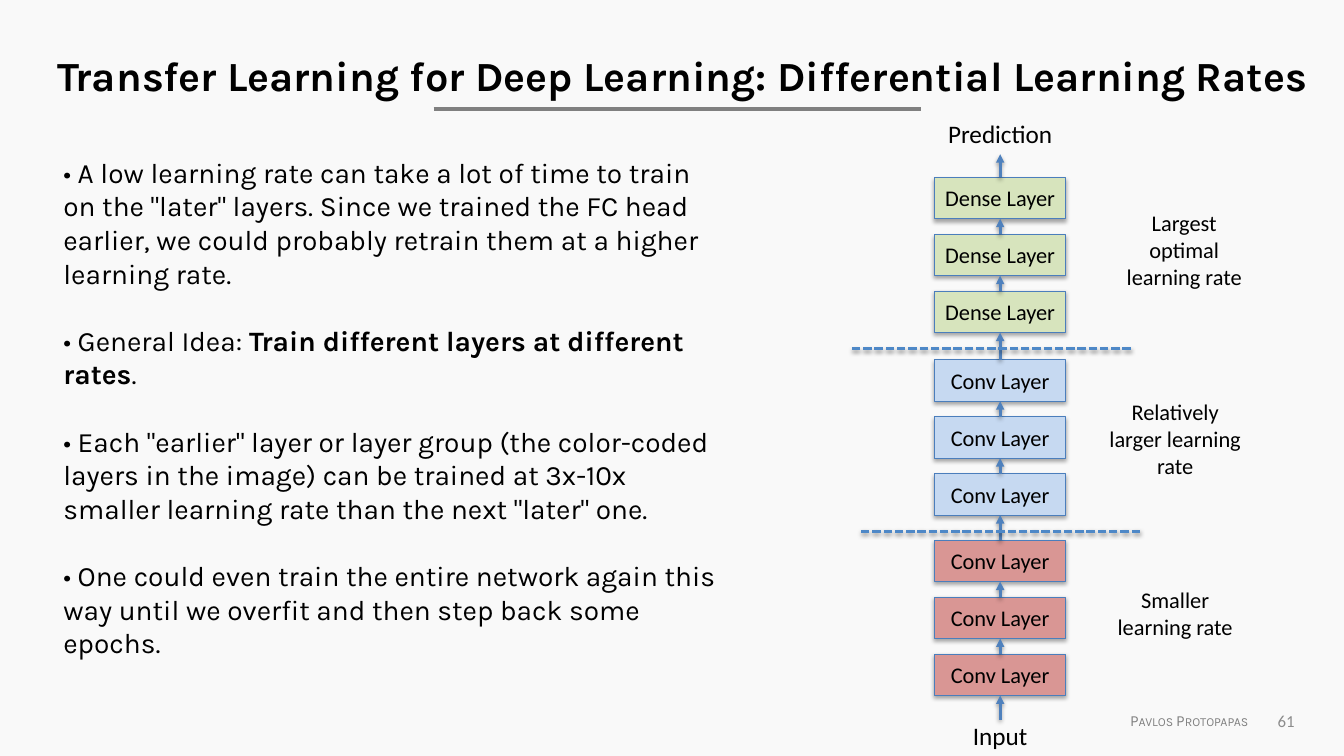
"""Build the differential learning rates slide."""
import pptx
import pptx.util
import pptx.oxml
import pptx.oxml.ns
from pptx.dml.color import RGBColor
from pptx.enum.dml import MSO_LINE
from pptx.enum.shapes import MSO_CONNECTOR, MSO_SHAPE
from pptx.enum.text import MSO_ANCHOR, MSO_AUTO_SIZE, PP_ALIGN
from pptx.util import Inches, Pt

BLACK = RGBColor(0x00, 0x00, 0x00)
GRAY = RGBColor(0x80, 0x80, 0x80)
NUMBER_GRAY = RGBColor(0x8C, 0x8C, 0x8C)
BACKGROUND = RGBColor(0xF9, 0xF9, 0xF9)
ARROW = RGBColor(0x4F, 0x81, 0xBD)
BORDER = RGBColor(0x4B, 0x7E, 0xBC)
DIVIDER = RGBColor(0x4E, 0x88, 0xC7)
GREEN = RGBColor(0xD7, 0xE4, 0xBD)
BLUE = RGBColor(0xC6, 0xD9, 0xF1)
RED = RGBColor(0xD9, 0x96, 0x94)

TITLE = "Transfer Learning for Deep Learning: Differential Learning Rates"
BULLETS = [
    [('• A low learning rate can take a lot of time to train on the "later" layers. '
      'Since we trained the FC head earlier, we could probably retrain them at a '
      'higher learning rate.', False)],
    [("• General Idea: ", False),
     ("Train different layers at different rates", True),
     (".", False)],
    [('• Each "earlier" layer or layer group (the color-coded layers in the image) '
      'can be trained at 3x-10x smaller learning rate than the next "later" one.', False)],
    [("• One could even train the entire network again this way until we overfit "
      "and then step back some epochs.", False)],
]
LAYER_GROUPS = [
    (5.36, "Conv Layer", RED),
    (3.57, "Conv Layer", BLUE),
    (1.76, "Dense Layer", GREEN),
]
RATES = [
    (10.9, 5.77, 0.64, "Smaller learning rate"),
    (10.9, 3.9, 0.94, "Relatively larger learning rate"),
    (10.99, 2.03, 0.94, "Largest optimal learning rate"),
]
DIVIDERS = [(8.54, 5.27), (8.45, 3.46)]
DIVIDER_W = 2.78
CENTER_X, LAYER_W, LAYER_H, PITCH = 9.92, 1.3, 0.41, 0.565
LAYERS_PER_GROUP = 3
INPUT_Y, PREDICTION_Y = 7.14, 1.53


def add_shadow(shape, alpha, distance):
    """Give a shape a soft shadow straight below it."""
    shape._element.spPr.append(pptx.oxml.parse_xml(
        f'<a:effectLst {pptx.oxml.ns.nsdecls("a")}>'
        f'<a:outerShdw blurRad="{Pt(3.1)}" dist="{Pt(distance)}" dir="5400000" rotWithShape="0">'
        f'<a:srgbClr val="000000"><a:alpha val="{alpha * 1000}"/></a:srgbClr>'
        '</a:outerShdw></a:effectLst>'))


def add_line(s, x1, y1, x2, y2, color, width=2, shadow=True):
    """Draw a straight line, with or without a shadow."""
    line = s.shapes.add_connector(MSO_CONNECTOR.STRAIGHT, Inches(x1), Inches(y1),
                                  Inches(x2), Inches(y2))
    line.line.color.rgb = color
    line.line.width = Pt(width)
    if shadow:
        add_shadow(line, 38, 1.6)
    else:
        line._element.spPr.append(pptx.oxml.parse_xml(
            f'<a:effectLst {pptx.oxml.ns.nsdecls("a")}/>'))
    return line


def add_arrow(s, y1, y2, lower=None, upper=None):
    """Draw an upward arrow joined to the layers it touches."""
    arrow = add_line(s, CENTER_X, y1, CENTER_X, y2, ARROW)
    if lower is not None:
        arrow.begin_connect(lower, 0)
    if upper is not None:
        arrow.end_connect(upper, 2)
    ln = arrow.line._get_or_add_ln()
    ln.append(pptx.oxml.parse_xml(
        f'<a:tailEnd {pptx.oxml.ns.nsdecls("a")} type="triangle"/>'))


def style(p, size, font="Calibri", color=BLACK, align=PP_ALIGN.CENTER):
    """Set the font and alignment of a paragraph."""
    p.alignment = align
    p.font.size = Pt(size)
    p.font.name = font
    p.font.color.rgb = color


def add_text(s, x, y, w, h, text, size, wrap=True, **look):
    """Add a text box with one paragraph."""
    tf = s.shapes.add_textbox(Inches(x), Inches(y), Inches(w), Inches(h)).text_frame
    tf.word_wrap = wrap
    p = tf.paragraphs[0]
    p.text = text
    style(p, size, **look)
    return tf


def add_layer(s, y, text, color):
    """Add one network layer box."""
    layer = s.shapes.add_shape(MSO_SHAPE.RECTANGLE, Inches(CENTER_X - LAYER_W / 2), Inches(y),
                               Inches(LAYER_W), Inches(LAYER_H))
    layer.fill.solid()
    layer.fill.fore_color.rgb = color
    layer.line.color.rgb = BORDER
    layer.line.width = Pt(0.75)
    add_shadow(layer, 35, 1.8)
    tf = layer.text_frame
    tf.vertical_anchor = MSO_ANCHOR.MIDDLE
    tf.margin_left = tf.margin_right = Inches(0.05)
    p = tf.paragraphs[0]
    p.text = text
    style(p, 16)
    return layer


def add_title(s):
    """Fill and place the title, with its rule below."""
    title = s.shapes.title
    title.left, title.top = Inches(0.22), Inches(0.45)
    title.width, title.height = Inches(13.11), Inches(0.84)
    tf = title.text_frame
    tf.auto_size = MSO_AUTO_SIZE.NONE
    tf.vertical_anchor = MSO_ANCHOR.TOP
    p = tf.paragraphs[0]
    p.text = TITLE
    style(p, 29.6, "Karla")
    p.font.bold = True
    add_line(s, 4.3, 1.08, 9.13, 1.08, GRAY, 3, shadow=False)


def add_bullets(s):
    """Add the explanation on the left."""
    tf = s.shapes.add_textbox(Inches(0.53), Inches(1.49), Inches(6.81), Inches(5.15)).text_frame
    tf.word_wrap = True
    for i, runs in enumerate(BULLETS):
        p = tf.add_paragraph() if i else tf.paragraphs[0]
        style(p, 20, "Karla", align=PP_ALIGN.LEFT)
        if i:
            p.space_before = Pt(24)
        for text, bold in runs:
            r = p.add_run()
            r.text = text
            if bold:
                r.font.bold = True


def add_network(s):
    """Stack the layers from input to prediction."""
    below = None
    for group_y, text, color in LAYER_GROUPS:
        for i in reversed(range(LAYERS_PER_GROUP)):
            y = group_y + i * PITCH
            layer = add_layer(s, y, text, color)
            add_arrow(s, INPUT_Y, y + LAYER_H, below, layer)
            below = layer
    add_arrow(s, y, PREDICTION_Y, below)
    for x, y in DIVIDERS:
        add_line(s, x, y, x + DIVIDER_W, y, DIVIDER).line.dash_style = MSO_LINE.SQUARE_DOT
    for y, text in ((7.1, "Input"), (1.12, "Prediction")):
        add_text(s, CENTER_X - 0.63, y, 1.26, 0.4, text, 18, wrap=False)
    for x, y, h, text in RATES:
        add_text(s, x, y, 1.51, h, text, 16)


def main():
    """Build and save the slide."""
    prs = pptx.Presentation()
    prs.slide_width, prs.slide_height = Inches(13.33), Inches(7.5)
    s = prs.slides.add_slide(prs.slide_layouts[5])
    s.background.fill.solid()
    s.background.fill.fore_color.rgb = BACKGROUND
    add_title(s)
    add_bullets(s)
    add_network(s)
    author = add_text(s, 11.11, 7.01, 1.41, 0.29, "Pavlos Protopapas", 11, wrap=False,
                      font="Karla", color=GRAY, align=PP_ALIGN.LEFT)
    author.paragraphs[0].runs[0].font._element.set("cap", "small")
    number = add_text(s, 9.83, 6.95, 3.11, 0.4, "61", 12, color=NUMBER_GRAY,
                      align=PP_ALIGN.RIGHT)
    number.vertical_anchor = MSO_ANCHOR.MIDDLE
    prs.save("out.pptx")


if __name__ == "__main__":
    main()
